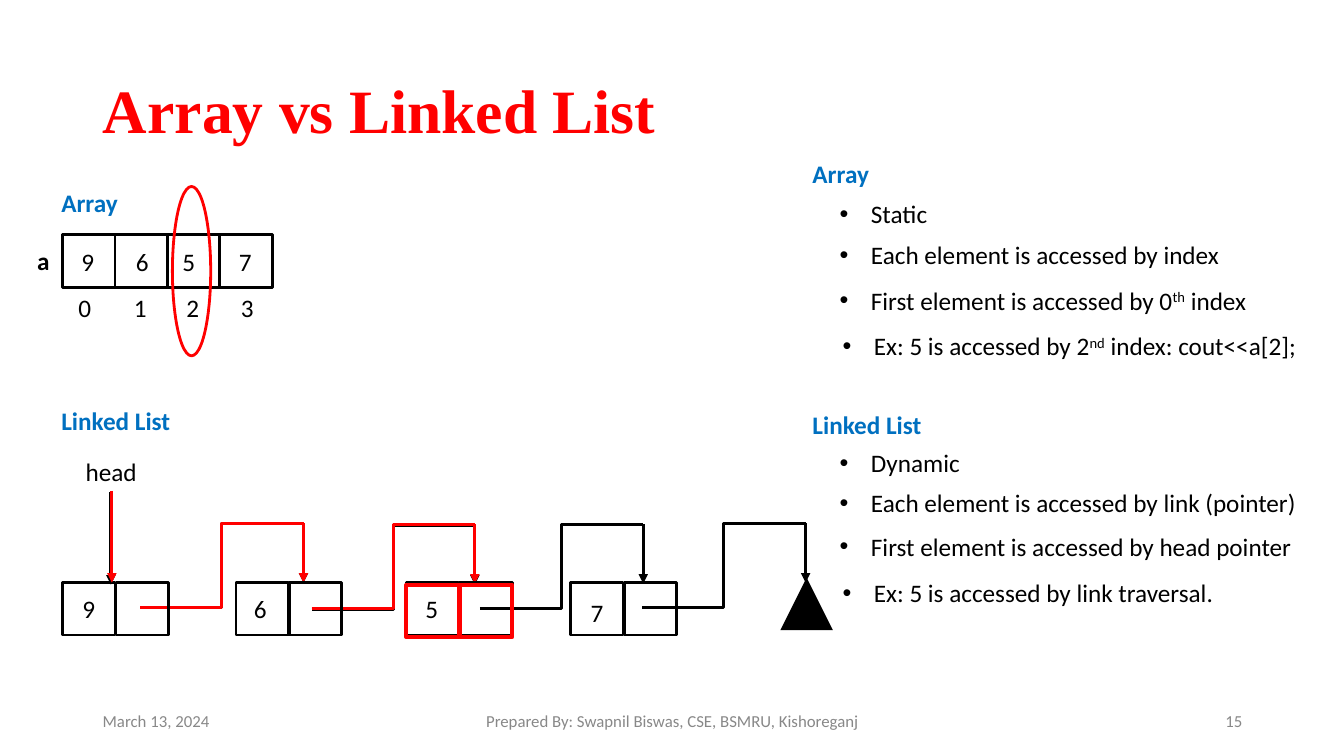
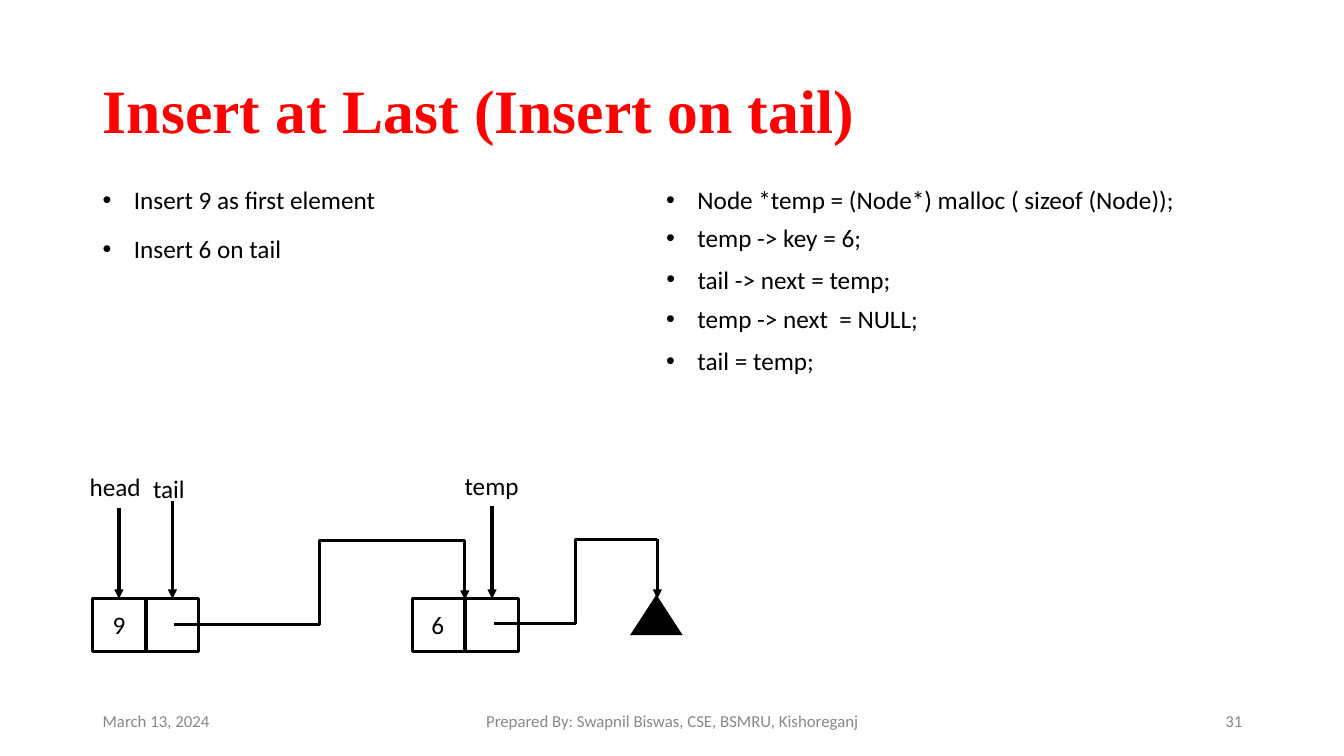
from lxml import etree
from pptx import Presentation
from pptx.dml.color import RGBColor
from pptx.enum.shapes import MSO_CONNECTOR, MSO_SHAPE
from pptx.enum.text import MSO_ANCHOR, MSO_AUTO_SIZE, PP_ALIGN
from pptx.oxml.ns import qn
from pptx.util import Inches, Pt

LEFT, CENTER, RIGHT = PP_ALIGN.LEFT, PP_ALIGN.CENTER, PP_ALIGN.RIGHT
RECT, OVAL, TRIANGLE = MSO_SHAPE.RECTANGLE, MSO_SHAPE.OVAL, MSO_SHAPE.ISOSCELES_TRIANGLE
STRAIGHT, ELBOW = MSO_CONNECTOR.STRAIGHT, MSO_CONNECTOR.ELBOW
COLORS = {"black": "000000", "red": "FF0000", "blue": "0070C0", "gray": "888888"}
STYLES = {
    "title": ("red", {"name": "Times New Roman", "size": Pt(44), "bold": True}),
    "heading": ("blue", {"name": "Calibri", "size": Pt(18), "bold": True}),
    "name": ("black", {"name": "Calibri", "size": Pt(18), "bold": True}),
    "body": ("black", {"name": "Calibri", "size": Pt(18), "bold": False}),
    "bullet": ("black", {"name": "Calibri", "size": Pt(18), "bold": False}),
    "footer": ("gray", {"name": "Calibri", "size": Pt(12), "bold": False}),
}
CELL = 0.52
NODE_STEP = 0.53
RISE, DROP = 0.84, 0.59


def write(shape, text, style, align=LEFT):
    tf = shape.text_frame
    fixed = style in ("title", "footer")
    tf.word_wrap = fixed
    tf.auto_size = MSO_AUTO_SIZE.NONE if fixed else MSO_AUTO_SIZE.SHAPE_TO_FIT_TEXT
    tf.vertical_anchor = MSO_ANCHOR.MIDDLE if fixed else MSO_ANCHOR.TOP
    p = tf.paragraphs[0]
    p.alignment = align
    if style == "title":
        p.line_spacing = 0.9
    if style == "bullet":
        pPr = p._p.get_or_add_pPr()
        pPr.set("marL", str(Inches(0.31)))
        pPr.set("indent", str(-Inches(0.31)))
        etree.SubElement(pPr, qn("a:buFont")).set("typeface", "Arial")
        etree.SubElement(pPr, qn("a:buChar")).set("char", "•")
    color, font = STYLES[style]
    for i, part in enumerate(text.split("^")):
        r = p.add_run()
        r.text = part
        for key, value in font.items():
            setattr(r.font, key, value)
        r.font.color.rgb = RGBColor.from_string(COLORS[color])
        if i % 2:
            r.font._element.set("baseline", "30000")


def add_line(s, kind, x1, y1, x2, y2, color, arrow=True):
    line = s.shapes.add_connector(kind, Inches(x1), Inches(y1), Inches(x2), Inches(y2))
    line.line.color.rgb = RGBColor.from_string(COLORS[color])
    line.line.width = Pt(2.25)
    if arrow:
        etree.SubElement(line.line._get_or_add_ln(), qn("a:tailEnd")).set("type", "triangle")
    etree.SubElement(line._element.spPr, qn("a:effectLst"))
    return line


def_cells = [(RECT, 0.62 + i * CELL, 2.33, CELL, CELL, "black", 2) for i in range(4)]
list_nodes = [(RECT, x + i * NODE_STEP, 5.78, CELL, CELL, "black", 2)
              for x in (0.62, 2.34, 4.03, 5.66) for i in range(2)]
found_node = [(RECT, 4.03 + i * NODE_STEP, 5.8, CELL, CELL, "red", 3) for i in range(2)]
tail_nodes = [(RECT, x + i * NODE_STEP, 5.94, CELL, CELL, "black", 2)
              for x in (0.92, 4.09) for i in range(2)]

SLIDES = [
    {
        "title": "Array vs Linked List",
        "number": "15",
        "links": [
            (1.39, 6.03, 1.62, "black"), (3.09, 6.05, 1.62, "black"),
            (4.76, 6.04, 1.62, "black"), (6.37, 6.03, 1.62, "black"),
            (1.39, 6.03, 1.62, "red"), (3.09, 6.04, 1.62, "red"),
        ],
        "shapes": def_cells + list_nodes + found_node + [
            (TRIANGLE, 7.74, 5.73, CELL, CELL, "black", 0),
            (OVAL, 1.71, 1.85, 0.38, 1.68, "red", 2),
        ],
        "arrows": [(1.1, 4.88, 5.8, "black", None), (1.11, 4.87, 5.78, "red", None)],
        "texts": [
            ("0", 0.68, 2.85, 0.33, "body"), ("1", 1.23, 2.85, 0.33, "body"),
            ("2", 1.75, 2.85, 0.33, "body"), ("3", 2.29, 2.85, 0.33, "body"),
            ("9", 0.71, 2.39, 0.33, "body"), ("6", 1.25, 2.39, 0.33, "body"),
            ("5", 1.71, 2.39, 0.33, "body"), ("7", 2.27, 2.39, 0.33, "body"),
            ("9", 0.72, 5.84, 0.33, "body"), ("6", 2.42, 5.84, 0.33, "body"),
            ("5", 4.12, 5.84, 0.33, "body"), ("7", 5.76, 5.88, 0.33, "body"),
            ("a", 0.27, 2.38, 0.33, "name"), ("head", 0.75, 4.48, 0.72, "body"),
            ("Array", 0.51, 1.81, 0.84, "heading"),
            ("Linked List", 0.51, 3.97, 1.49, "heading"),
            ("Array", 7.96, 1.52, 0.84, "heading"),
            ("Static", 8.23, 1.92, 1.12, "bullet"),
            ("Each element is accessed by index", 8.23, 2.33, 4.16, "bullet"),
            ("First element is accessed by 0^th^ index", 8.23, 2.78, 4.44, "bullet"),
            ("Ex: 5 is accessed by 2^nd^ index: cout<<a[2];", 8.26, 3.23, 5.07, "bullet"),
            ("Linked List", 7.96, 4.01, 1.49, "heading"),
            ("Dynamic", 8.23, 4.39, 1.51, "bullet"),
            ("Each element is accessed by link (pointer)", 8.23, 4.79, 4.96, "bullet"),
            ("First element is accessed by head pointer", 8.23, 5.22, 4.85, "bullet"),
            ("Ex: 5 is accessed by link traversal.", 8.26, 5.68, 4.13, "bullet"),
        ],
    },
    {
        "title": "Insert at Last (Insert on tail)",
        "number": "31",
        "links": [(1.73, 6.2, 2.88, "black"), (4.9, 6.19, 1.62, "black")],
        "shapes": tail_nodes + [(TRIANGLE, 6.25, 5.9, CELL, 0.4, "black", 0)],
        "arrows": [
            (1.18, 5.04, 5.94, "black", 0),
            (1.71, 4.97, 5.94, "black", 1),
            (4.88, 5.02, 5.94, "black", 3),
        ],
        "texts": [
            ("9", 1.02, 6, 0.33, "body"), ("6", 4.18, 6, 0.33, "body"),
            ("head", 0.79, 4.63, 0.72, "body"), ("tail", 1.42, 4.65, 0.54, "body"),
            ("temp", 4.51, 4.62, 0.74, "body"),
            ("Insert 9 as first element", 0.92, 1.78, 2.98, "bullet"),
            ("Insert 6 on tail", 0.92, 2.27, 2.06, "bullet"),
            ("Node *temp = (Node*) malloc ( sizeof (Node));", 6.51, 1.78, 5.6, "bullet"),
            ("temp -> key = 6;", 6.51, 2.16, 2.3, "bullet"),
            ("tail -> next = temp;", 6.51, 2.57, 2.59, "bullet"),
            ("temp -> next  = NULL;", 6.51, 2.96, 3.06, "bullet"),
            ("tail = temp;", 6.51, 3.38, 1.76, "bullet"),
        ],
    },
]

prs = Presentation()
prs.slide_width, prs.slide_height = Inches(13.33), Inches(7.5)

for content in SLIDES:
    s = prs.slides.add_slide(prs.slide_layouts[5])
    title = s.shapes.title
    title.left, title.top = Inches(0.92), Inches(0.4)
    title.width, title.height = Inches(11.5), Inches(1.45)
    write(title, content["title"], "title")

    for text, x, w, align in (
        ("March 13, 2024", 0.92, 3, LEFT),
        ("Prepared By: Swapnil Biswas, CSE, BSMRU, Kishoreganj", 4.42, 4.5, CENTER),
        (content["number"], 9.42, 3, RIGHT),
    ):
        box = s.shapes.add_textbox(Inches(x), Inches(6.95), Inches(w), Inches(0.4))
        write(box, text, "footer", align)

    for x, y, run, color in content["links"]:
        add_line(s, ELBOW, x, y, x + run, y - RISE, color, arrow=False)
        add_line(s, STRAIGHT, x + run, y - RISE, x + run, y - RISE + DROP, color)

    drawn = []
    for kind, x, y, w, h, color, weight in content["shapes"]:
        sp = s.shapes.add_shape(kind, Inches(x), Inches(y), Inches(w), Inches(h))
        sp.shadow.inherit = False
        rgb = RGBColor.from_string(COLORS[color])
        if weight:
            sp.fill.background()
            sp.line.color.rgb = rgb
            sp.line.width = Pt(weight)
        else:
            sp.fill.solid()
            sp.fill.fore_color.rgb = rgb
            sp.line.fill.background()
        drawn.append(sp)

    for x, y1, y2, color, target in content["arrows"]:
        arrow = add_line(s, STRAIGHT, x, y1, x, y2, color)
        if target is not None:
            arrow.end_connect(drawn[target], 0)

    for text, x, y, w, style in content["texts"]:
        box = s.shapes.add_textbox(Inches(x), Inches(y), Inches(w), Inches(0.4))
        write(box, text, style)

prs.save("out.pptx")
